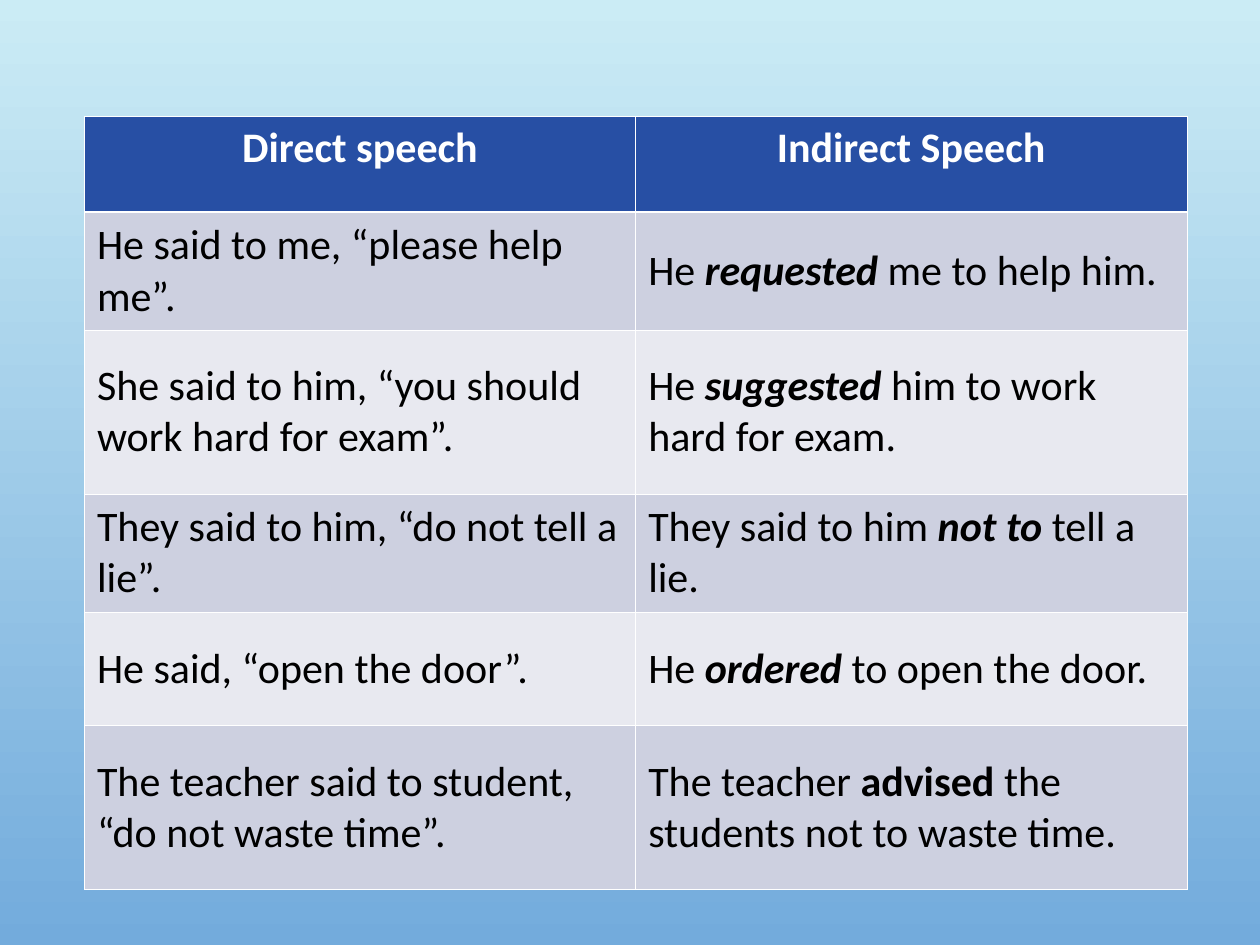
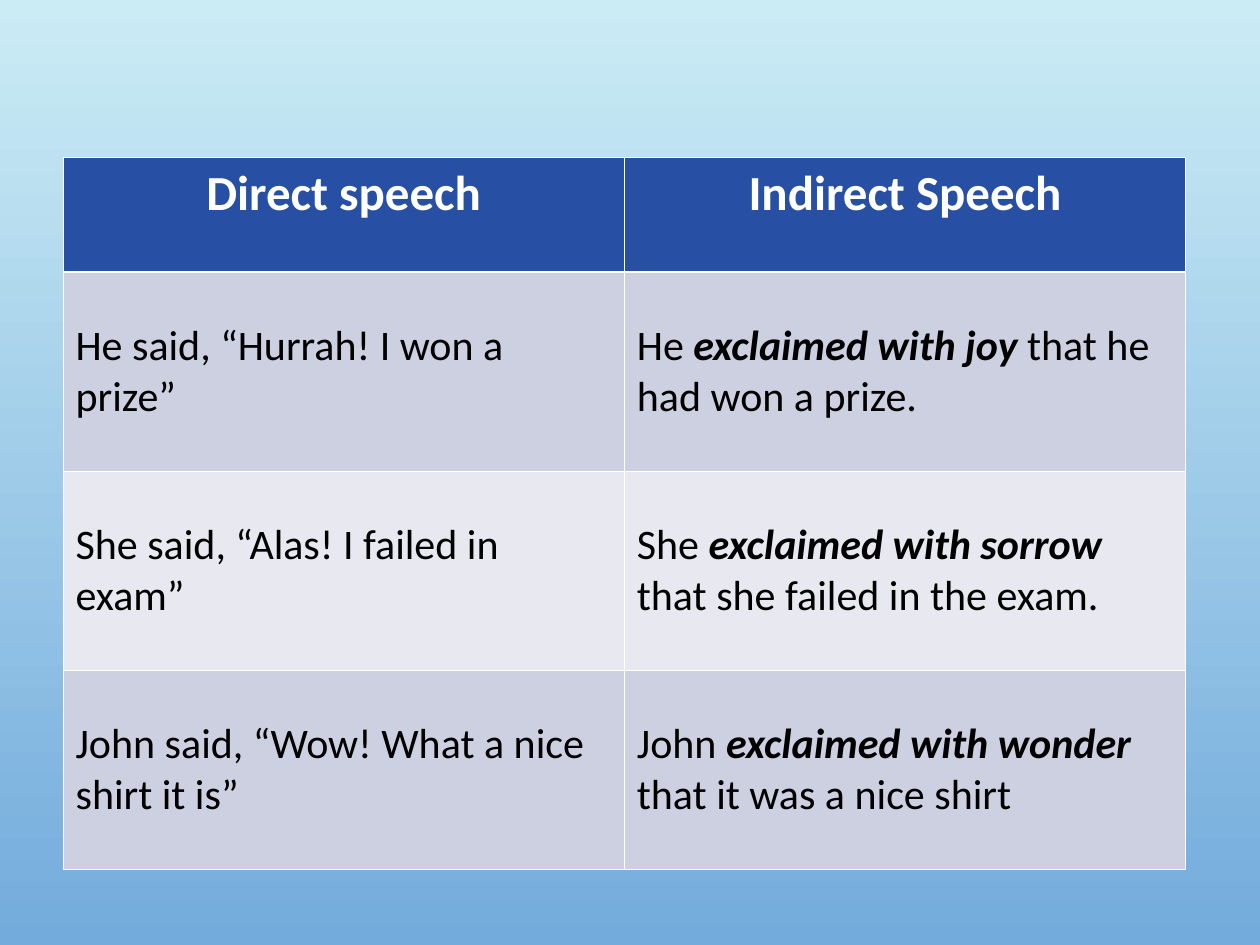
from dataclasses import dataclass

from lxml import etree
from pptx import Presentation
from pptx.dml.color import RGBColor
from pptx.enum.text import MSO_ANCHOR, PP_ALIGN
from pptx.oxml.ns import qn
from pptx.util import Pt

CENTER, LEFT = PP_ALIGN.CENTER, PP_ALIGN.LEFT
TOP, MIDDLE = MSO_ANCHOR.TOP, MSO_ANCHOR.MIDDLE
BLANK_LAYOUT = 6

HEADINGS = ("Direct speech", "Indirect Speech")

TABLES = [
    {
        "left": 48.24, "top": 66.24, "column_width": 315, "heading_size": 24,
        "row_heights": [55, 67.5, 93.5, 67.5, 65, 93.5],
        "examples": [
            ("He said to me, “please help me”.",
             ("He ", "requested", " me to help him.")),
            ("She said to him, “you should work hard for exam”.",
             ("He ", "suggested", " him to work hard for exam.")),
            ("They said to him, “do not tell a lie”.",
             ("They said to him ", "not to", " tell a lie.")),
            ("He said, “open the door”.",
             ("He ", "ordered", " to open the door.")),
            ("The teacher said to student, “do not waste time”.",
             ("The teacher ", "advised ", "the students not to waste time.")),
        ],
        "upright": ["advised "],
    },
    {
        "left": 36, "top": 90, "column_width": 320.75, "heading_size": 28,
        "row_heights": [65.5] + [113.8] * 3,
        "examples": [
            ("He said, “Hurrah! I won a prize”",
             ("He ", "exclaimed with joy", " that he had won a prize.")),
            ("She said, “Alas! I failed in exam”",
             ("She ", "exclaimed with sorrow", " that she failed in the exam.")),
            ("John said, “Wow! What a nice shirt it is”",
             ("John ", "exclaimed with wonder", " that it was a nice shirt")),
        ],
        "upright": [],
    },
]


@dataclass(frozen=True)
class Theme:
    font: str = "Calibri"
    body_size: float = 24
    sky_top: str = "CBECF5"
    sky_bottom: str = "73ABDC"
    heading_fill: str = "274FA4"
    bands: tuple = ("CDD0E0", "E8E9F0")
    heading_text: str = "FFFFFF"
    body_text: str = "000000"
    border: str = "FFFFFF"
    thin: float = 0.45
    thick: float = 1.47


THEME = Theme()


def paint_background(page):
    fill = page.background.fill
    fill.gradient()
    fill.gradient_angle = 270
    for stop, color in zip(fill.gradient_stops, (THEME.sky_top, THEME.sky_bottom)):
        stop.color.rgb = RGBColor.from_string(color)


def add_text(para, text, *, size=THEME.body_size, color=THEME.body_text,
             bold=False, italic=False):
    span = para.add_run()
    span.text = text
    font = span.font
    font.name, font.size = THEME.font, Pt(size)
    font.bold, font.italic = bold, italic
    font.color.rgb = RGBColor.from_string(color)


def set_borders(cell, top, bottom):
    properties = cell._tc.get_or_add_tcPr()
    widths = {"lnL": THEME.thin, "lnR": THEME.thin, "lnT": top, "lnB": bottom}
    for position, (side, width) in enumerate(widths.items()):
        line = etree.Element(qn(f"a:{side}"), w=str(Pt(width)))
        solid = etree.SubElement(line, qn("a:solidFill"))
        etree.SubElement(solid, qn("a:srgbClr"), val=THEME.border)
        properties.insert(position, line)


def format_cell(cell, fill, *, align=LEFT, anchor=MIDDLE,
                top=THEME.thin, bottom=THEME.thin):
    cell.fill.solid()
    cell.fill.fore_color.rgb = RGBColor.from_string(fill)
    cell.vertical_anchor = anchor
    set_borders(cell, top, bottom)
    para = cell.text_frame.paragraphs[0]
    para.alignment = align
    return para


def add_speech_table(page, content):
    heights = content["row_heights"]
    width = content["column_width"]
    table = page.shapes.add_table(
        len(heights), len(HEADINGS), Pt(content["left"]), Pt(content["top"]),
        Pt(width * len(HEADINGS)), Pt(sum(heights))).table
    for row, height in zip(table.rows, heights):
        row.height = Pt(height)
    for column in table.columns:
        column.width = Pt(width)

    for column, heading in enumerate(HEADINGS):
        para = format_cell(table.cell(0, column), THEME.heading_fill,
                           align=CENTER, anchor=TOP, bottom=THEME.thick)
        add_text(para, heading, size=content["heading_size"],
                 color=THEME.heading_text, bold=True)

    for row, (direct, indirect) in enumerate(content["examples"], start=1):
        fill = THEME.bands[(row - 1) % len(THEME.bands)]
        top = THEME.thick if row == 1 else THEME.thin
        add_text(format_cell(table.cell(row, 0), fill, top=top), direct)
        para = format_cell(table.cell(row, 1), fill, top=top)
        before, verb, after = indirect
        add_text(para, before)
        add_text(para, verb, bold=True, italic=verb not in content["upright"])
        add_text(para, after)


def main():
    deck = Presentation()
    deck.slide_width, deck.slide_height = Pt(720), Pt(540)
    for content in TABLES:
        page = deck.slides.add_slide(deck.slide_layouts[BLANK_LAYOUT])
        paint_background(page)
        add_speech_table(page, content)
    deck.save("out.pptx")


if __name__ == "__main__":
    main()
